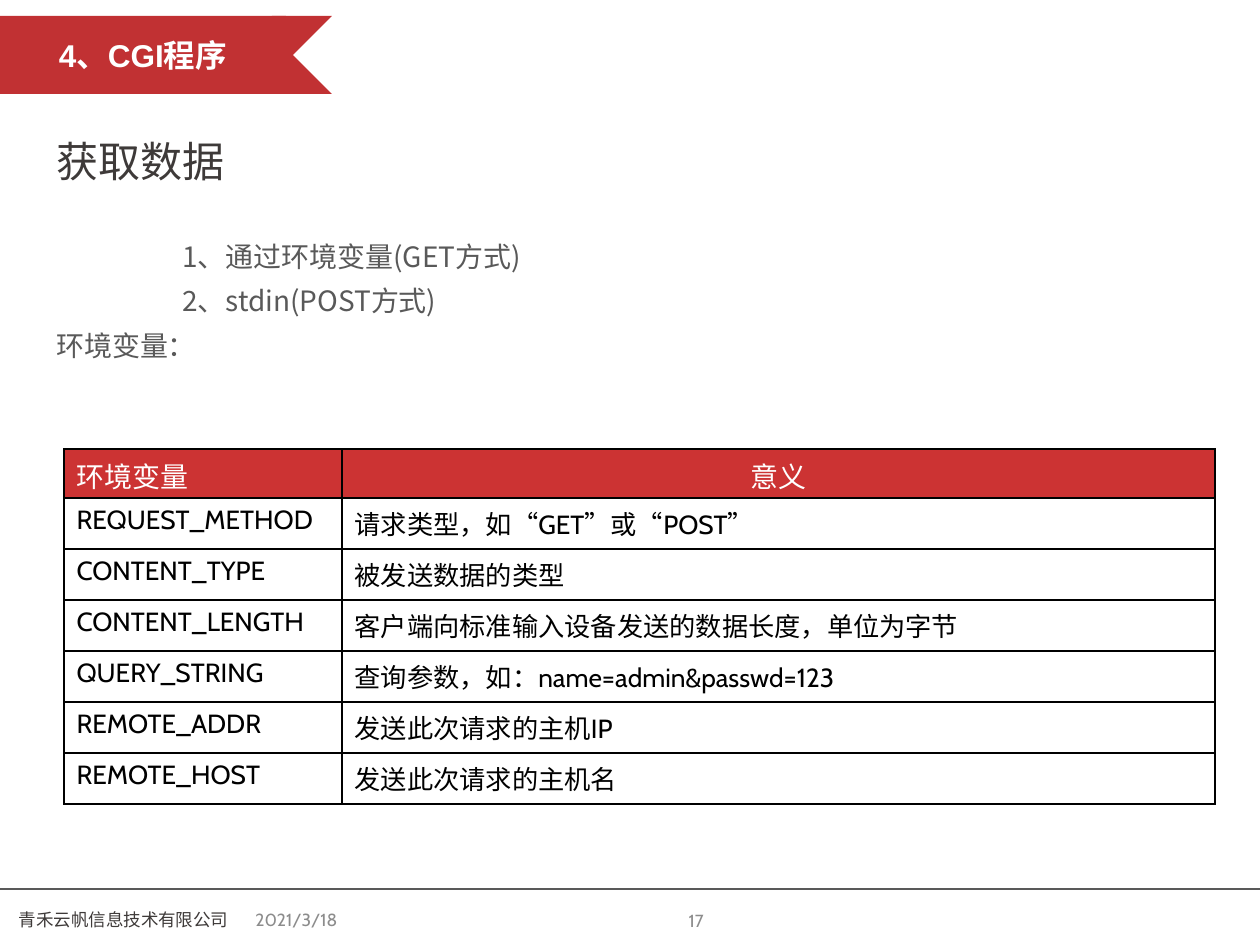
from typing import NamedTuple
from lxml.etree import SubElement as Sub
from pptx import Presentation
from pptx.dml.color import RGBColor as Rgb
from pptx.enum.shapes import MSO_CONNECTOR as Link, MSO_SHAPE as Form
from pptx.enum.text import MSO_ANCHOR as Anchor, PP_ALIGN as Align
from pptx.oxml.ns import qn
from pptx.util import Emu, Pt

RED = Rgb(0xC1, 0x31, 0x33)
HEAD = Rgb(0xCC, 0x33, 0x33)
INK = Rgb(0x3E, 0x3A, 0x39)
TEXT = Rgb(0x59, 0x59, 0x59)
PALE = Rgb(0x8C, 0x8C, 0x8C)
BLACK = Rgb(0, 0, 0)
WHITE = Rgb(0xFF, 0xFF, 0xFF)
SANS = "Noto Sans CJK SC"
CABIN = "Cabin"


class Box(NamedTuple):
    x: int
    y: int
    w: int
    h: int


class Style(NamedTuple):
    size: int
    face: str
    color: Rgb
    align: Align = Align.LEFT
    bold: bool = False


class Label(NamedTuple):
    box: Box
    text: str
    style: Style
    anchor: Anchor = Anchor.MIDDLE


LABELS = [
    Label(Box(44, 129, 1171, 79), "获取数据", Style(24, SANS, INK), Anchor.TOP),
    Label(Box(243, 895, 294, 50), "2021/3/18", Style(10, CABIN, PALE)),
    Label(Box(-105, 895, 457, 50), "青禾云帆信息技术有限公司",
          Style(10, CABIN, INK, Align.CENTER)),
    Label(Box(422, 896, 294, 50), "17", Style(10, CABIN, PALE, Align.RIGHT)),
]
STEPS = [
    ("1、通过环境变量(GET方式)", 126),
    ("2、stdin(POST方式)", 126),
    ("环境变量：", 0),
]
ROWS = [
    ("环境变量", "意义"),
    ("REQUEST_METHOD", "请求类型，如“GET”或“POST”"),
    ("CONTENT_TYPE", "被发送数据的类型"),
    ("CONTENT_LENGTH", "客户端向标准输入设备发送的数据长度，单位为字节"),
    ("QUERY_STRING", "查询参数，如：name=admin&passwd=123"),
    ("REMOTE_ADDR", "发送此次请求的主机IP"),
    ("REMOTE_HOST", "发送此次请求的主机名"),
]
COLS = (278, 873)
HEAD_H, ROW_H = 49, 51


def px(n: int) -> Emu:
    return Emu(round(n * 914400 / 126))


def place(box: Box) -> list[Emu]:
    return [px(n) for n in box]


def write(para, text: str, style: Style) -> None:
    para.text = text
    para.alignment = style.align
    font = para.font
    font.size = Pt(style.size)
    font.name = style.face
    font.bold = style.bold
    font.color.rgb = style.color


def add_label(slide, label: Label) -> None:
    frame = slide.shapes.add_textbox(*place(label.box)).text_frame
    frame.word_wrap = True
    frame.vertical_anchor = label.anchor
    write(frame.paragraphs[0], label.text, label.style)


def add_steps(slide) -> None:
    frame = slide.shapes.add_textbox(*place(Box(44, 227, 1142, 718))).text_frame
    frame.word_wrap = True
    for i, (text, indent) in enumerate(STEPS):
        para = frame.add_paragraph() if i else frame.paragraphs[0]
        para._p.get_or_add_pPr().set("marL", str(px(indent)))
        para.line_spacing = 1.2
        para.space_before = Pt(2.2 if i else 0)
        write(para, text, Style(16, SANS, TEXT))


def add_form(group, form: Form, box: Box):
    shape = group.shapes.add_shape(form, *place(box))
    shape.shadow.inherit = False
    shape.fill.solid()
    shape.fill.fore_color.rgb = RED
    shape.line.fill.background()
    return shape


def add_banner(slide) -> None:
    group = slide.shapes.add_group_shape()
    tail = add_form(group, Form.CHEVRON, Box(233, 16, 99, 78))
    tail._element.spPr.xfrm.set("flipH", "1")
    frame = add_form(group, Form.RECTANGLE, Box(0, 16, 286, 78)).text_frame
    frame.word_wrap = True
    frame.vertical_anchor = Anchor.MIDDLE
    write(frame.paragraphs[0], "4、CGI程序",
          Style(18, "Arial", WHITE, Align.CENTER, True))


def add_rule(slide) -> None:
    rule = slide.shapes.add_connector(
        Link.STRAIGHT, px(0), px(889), px(1260), px(889))
    rule.line.color.rgb = TEXT
    rule.line.width = Pt(0.75)
    Sub(rule._element.spPr, qn("a:effectLst"))


def edge(cell) -> None:
    props = cell._tc.get_or_add_tcPr()
    for side in "LRTB":
        line = Sub(props, qn(f"a:ln{side}"), w=str(Pt(1)))
        fill = Sub(line, qn("a:solidFill"))
        Sub(fill, qn("a:srgbClr"), val=str(BLACK))


def add_grid(slide) -> None:
    box = Box(64, 449, sum(COLS), HEAD_H + ROW_H * (len(ROWS) - 1))
    table = slide.shapes.add_table(len(ROWS), len(COLS), *place(box)).table
    table.first_row = table.horz_banding = False
    for col, width in zip(table.columns, COLS):
        col.width = px(width)
    for r, row in enumerate(ROWS):
        table.rows[r].height = px(ROW_H if r else HEAD_H)
        for c, text in enumerate(row):
            cell = table.cell(r, c)
            edge(cell)
            if r:
                cell.fill.background()
                style = Style(15, CABIN, BLACK)
            else:
                cell.fill.solid()
                cell.fill.fore_color.rgb = HEAD
                cell.margin_bottom = px(2)
                style = Style(16, CABIN, WHITE, Align.CENTER if c else Align.LEFT)
            write(cell.text_frame.paragraphs[0], text, style)


def main() -> None:
    deck = Presentation()
    deck.slide_width, deck.slide_height = px(1260), px(945)
    slide = deck.slides.add_slide(deck.slide_layouts[6])
    add_rule(slide)
    add_steps(slide)
    add_banner(slide)
    for label in LABELS:
        add_label(slide, label)
    add_grid(slide)
    deck.save("out.pptx")


if __name__ == "__main__":
    main()
